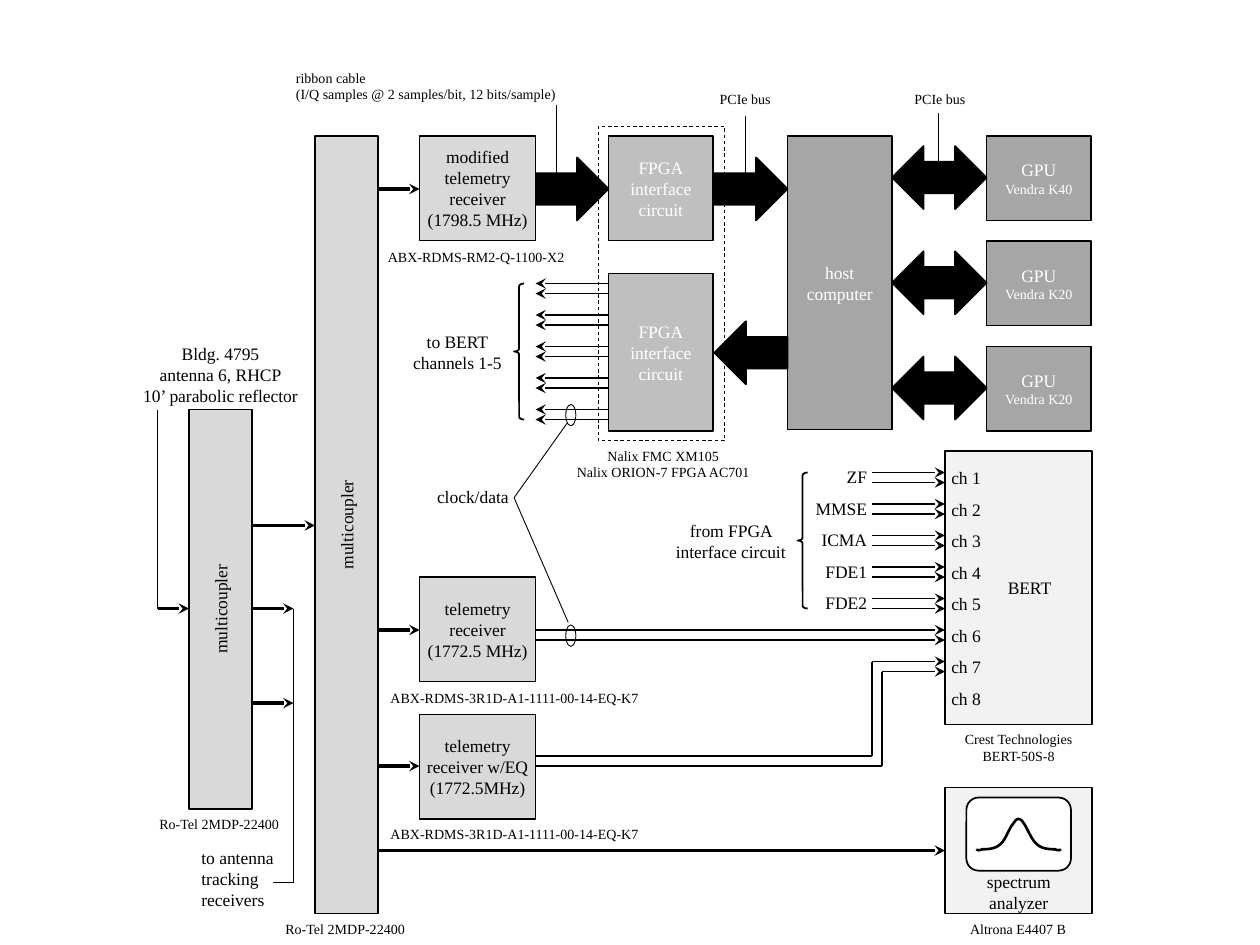
import pptx
import pptx.util
import pptx.dml.color
import pptx.enum.dml
import pptx.enum.shapes
import pptx.enum.text
import pptx.oxml.ns
from lxml import etree

Inches = pptx.util.Inches
SHAPE = pptx.enum.shapes.MSO_SHAPE
ALIGN = pptx.enum.text.PP_ALIGN
ANCHOR = pptx.enum.text.MSO_ANCHOR
qn = pptx.oxml.ns.qn

FONT = "Times New Roman"
COLORS = {
    "ink": "000000", "paper": "FFFFFF", "receiver": "D9D9D9",
    "fpga": "BFBFBF", "computer": "A6A6A6", "instrument": "F2F2F2",
}
MARGINS = (0.1, 0.05, 0.1, 0.05)
TIGHT = (0, 0.05, 0, 0.05)


def rgb(name):
    return pptx.dml.color.RGBColor.from_string(COLORS[name])


def write_text(shape, text, sizes, color="ink", align=ALIGN.CENTER, margins=MARGINS):
    """Fill a shape with paragraphs; the last size serves all remaining ones."""
    frame = shape.text_frame
    frame.text = text
    frame.margin_left, frame.margin_top, frame.margin_right, frame.margin_bottom = map(Inches, margins)
    for index, para in enumerate(frame.paragraphs):
        para.alignment = align
        for span in para.runs:
            span.font.name = FONT
            span.font.size = pptx.util.Pt(sizes[min(index, len(sizes) - 1)])
            span.font.color.rgb = rgb(color)
    return frame


def add_outline(slide, kind, left, top, width, height, fill=None, weight=1):
    shape = slide.shapes.add_shape(kind, Inches(left), Inches(top), Inches(width), Inches(height))
    shape.shadow.inherit = False
    if fill:
        shape.fill.solid()
        shape.fill.fore_color.rgb = rgb(fill)
    else:
        shape.fill.background()
    shape.line.color.rgb = rgb("ink")
    shape.line.width = pptx.util.Pt(weight)
    return shape


def add_block(slide, left, top, width, height, fill, text, color="ink",
              sizes=(10,), margins=MARGINS, anchor=ANCHOR.MIDDLE, upright=False):
    block = add_outline(slide, SHAPE.RECTANGLE, left, top, width, height, fill)
    frame = write_text(block, text, sizes, color, margins=margins)
    frame.word_wrap = True
    frame.vertical_anchor = anchor
    if upright:
        block.element.find(".//" + qn("a:bodyPr")).set("vert", "vert270")


def add_label(slide, left, top, width, height, text, size=10,
              align=ALIGN.CENTER, wrap=True, margins=MARGINS):
    box = slide.shapes.add_textbox(Inches(left), Inches(top), Inches(width), Inches(height))
    frame = write_text(box, text, (size,), align=align, margins=margins)
    frame.word_wrap = wrap


def add_line(slide, x1, y1, x2, y2, weight=0.5, arrow=False):
    line = slide.shapes.add_connector(
        pptx.enum.shapes.MSO_CONNECTOR.STRAIGHT, Inches(x1), Inches(y1), Inches(x2), Inches(y2))
    line.line.color.rgb = rgb("ink")
    line.line.width = pptx.util.Pt(weight)
    properties = line.element.spPr
    if arrow:
        etree.SubElement(properties.find(qn("a:ln")), qn("a:tailEnd"), type="stealth")
    etree.SubElement(properties, qn("a:effectLst"))


def add_brace(slide, left, top):
    brace = add_outline(slide, SHAPE.LEFT_BRACE, left, top, 0.08, 1.08)
    brace.adjustments[0] = 0.28


def add_curve(slide, start, segments, weight, steps=8):
    """Draw cubic segments, each given as two controls and an end point."""
    points, here = [], start
    for first, second, end in segments:
        for step in range(1, steps + 1):
            t = step / steps
            points.append(tuple(
                Inches((1 - t) ** 3 * a + 3 * t * (1 - t) ** 2 * b + 3 * t * t * (1 - t) * c + t ** 3 * d)
                for a, b, c, d in zip(here, first, second, end)))
        here = end
    builder = slide.shapes.build_freeform(Inches(start[0]), Inches(start[1]))
    builder.add_line_segments(points, close=False)
    curve = builder.convert_to_shape()
    curve.shadow.inherit = False
    curve.fill.background()
    curve.line.color.rgb = rgb("ink")
    curve.line.width = pptx.util.Pt(weight)


def draw_processing(slide):
    # FPGA circuits, host computer and GPUs
    for top, height in ((1.08, 0.83), (2.17, 1.25)):
        add_block(slide, 4.83, top, 0.83, height, "fpga", "FPGA\ninterface\ncircuit", "paper")
    add_block(slide, 6.25, 1.08, 0.83, 2.33, "computer", "host\ncomputer", "paper")
    for row, model in enumerate(("K40", "K20", "K20")):
        top = 1.08 + row * 0.835
        add_block(slide, 7.83, top, 0.83, 0.67, "computer", f"GPU\nVendra {model}", "paper", (10, 8))
        add_outline(slide, SHAPE.LEFT_RIGHT_ARROW, 7.08, top + 0.08, 0.75, 0.5, "ink")
    for kind, left, top in ((SHAPE.RIGHT_ARROW, 4.25, 1.25), (SHAPE.RIGHT_ARROW, 5.67, 1.25),
                            (SHAPE.LEFT_ARROW, 5.67, 2.55)):
        add_outline(slide, kind, left, top, 0.58, 0.5, "ink")
    board = add_outline(slide, SHAPE.RECTANGLE, 4.75, 1, 1, 2.5, weight=0.5)
    board.line.dash_style = pptx.enum.dml.MSO_LINE.DASH
    add_label(slide, 4.5, 3.5, 1.53, 0.37, "Nalix FMC XM105\nNalix ORION-7 FPGA AC701", 8, margins=TIGHT)

    # Bus and cable callouts
    add_label(slide, 2.25, 0.5, 2.28, 0.37,
              "ribbon cable\n(I/Q samples @ 2 samples/bit, 12 bits/sample)", 8, ALIGN.LEFT, False)
    for left, width in ((5.58, 0.67), (7.17, 0.58)):
        add_label(slide, left, 0.67, width, 0.24, "PCIe bus", 8, margins=TIGHT)
    for x, bottom, top in ((4.42, 1.42, 0.83), (5.92, 1.42, 0.92), (7.45, 1.28, 0.9)):
        add_line(slide, x, bottom, x, top)


def draw_bert(slide):
    add_block(slide, 7.5, 3.58, 1.17, 2.17, "instrument", "BERT", margins=(0.27, 0.05, 0.1, 0.05))
    add_label(slide, 7.5, 5.75, 1.17, 0.37, "Crest Technologies BERT-50S-8", 8)
    for channel in range(8):
        add_label(slide, 7.5, 3.66 + channel * 0.25, 0.39, 0.27, f"ch {channel + 1}",
                  align=ALIGN.LEFT, wrap=False, margins=(0.05, 0.05, 0.1, 0.05))

    # Clock and data pairs out of the FPGA and into channels 1-5
    for pair, name in enumerate(("ZF", "MMSE", "ICMA", "FDE1", "FDE2")):
        drop = pair * 0.25
        for offset in (drop, drop + 0.08):
            add_line(slide, 4.83, 2.25 + offset, 4.25, 2.25 + offset, 1, True)
            add_line(slide, 6.92, 3.75 + offset, 7.5, 3.75 + offset, 1, True)
        add_label(slide, 6.37, 3.65 + drop, 0.61, 0.27, name, align=ALIGN.RIGHT, wrap=False)
    add_brace(slide, 4.08, 2.25)
    add_brace(slide, 6.33, 3.75)
    add_label(slide, 3.17, 2.58, 0.92, 0.44, "to BERT\nchannels 1-5", wrap=False)
    add_label(slide, 5.25, 4.08, 1.1, 0.44, "from FPGA interface circuit")

    # Receiver pairs into channels 6 and 7
    for y in (5, 5.08):
        add_line(slide, 4.25, y, 7.5, y, 1, True)
    for x, low, high in ((6.92, 6, 5.25), (7, 6.08, 5.33)):
        add_line(slide, 4.25, low, x, low, 1)
        add_line(slide, x, low, x, high, 1)
        add_line(slide, x, high, 7.5, high, 1, True)

    # Clock/data callout
    add_label(slide, 3.37, 3.81, 0.78, 0.27, "clock/data", align=ALIGN.LEFT, wrap=False)
    for top in (3.21, 4.96):
        add_outline(slide, SHAPE.OVAL, 4.49, top, 0.08, 0.17, weight=0.5)
    add_line(slide, 4.08, 3.95, 4.5, 3.36)
    add_line(slide, 4.08, 3.95, 4.51, 4.94)


def draw_receivers(slide):
    for top, text in ((1.08, "modified\ntelemetry receiver\n(1798.5 MHz)"),
                      (4.58, "telemetry receiver\n(1772.5 MHz)"),
                      (5.67, "telemetry receiver w/EQ\n(1772.5MHz)")):
        add_block(slide, 3.33, top, 0.92, 0.83, "receiver", text, margins=TIGHT)
    add_label(slide, 3, 1.92, 1.56, 0.24, "ABX-RDMS-RM2-Q-1100-X2", 8, margins=TIGHT)
    for top in (5.42, 6.5):
        add_label(slide, 3, top, 2.18, 0.24, "ABX-RDMS-3R1D-A1-1111-00-14-EQ-K7", 8, ALIGN.LEFT, False)


def draw_antenna(slide):
    # Multicouplers
    for left, top, height in ((2.5, 1.08, 6.17), (1.5, 3.25, 3.17)):
        add_block(slide, left, top, 0.5, height, "receiver", "multicoupler", upright=True)
    for left, top in ((1.08, 6.42), (2.08, 7.26)):
        add_label(slide, left, top, 1.32, 0.24, "Ro-Tel 2MDP-22400", 8)

    # Signal feeds
    for x1, x2, y in ((3, 3.33, 1.5), (3, 3.33, 5), (3, 3.33, 6.08), (3, 7.5, 6.75),
                      (2, 2.5, 4.17), (2, 2.33, 4.83), (2, 2.33, 5.58), (1.25, 1.5, 4.83)):
        add_line(slide, x1, y, x2, y, 2, True)

    # Antenna input and tracking output
    add_label(slide, 1.02, 2.67, 1.46, 0.61,
              "Bldg. 4795\nantenna 6, RHCP\n10’ parabolic reflector", wrap=False)
    add_label(slide, 1.5, 6.67, 0.99, 0.61, "to antenna tracking receivers", align=ALIGN.LEFT)
    add_line(slide, 1.25, 4.83, 1.25, 3.25)
    add_line(slide, 2.33, 7, 2.33, 4.83)
    add_line(slide, 2.17, 7, 2.33, 7)


def draw_analyzer(slide):
    add_block(slide, 7.5, 6.25, 1.17, 1, "instrument", "spectrum analyzer",
              margins=(0.1, 0.05, 0.1, 0), anchor=ANCHOR.BOTTOM)
    add_outline(slide, SHAPE.ROUNDED_RECTANGLE, 7.67, 6.33, 0.83, 0.58, "paper")
    add_curve(slide, (7.75, 6.74), (
        ((7.76, 6.75), (7.77, 6.75), (7.8, 6.74)),
        ((7.83, 6.74), (7.9, 6.74), (7.94, 6.7)),
        ((7.98, 6.67), (8.01, 6.57), (8.04, 6.54)),
        ((8.06, 6.51), (8.07, 6.5), (8.08, 6.5)),
        ((8.1, 6.5), (8.11, 6.51), (8.13, 6.54)),
        ((8.15, 6.57), (8.19, 6.67), (8.23, 6.7)),
        ((8.27, 6.74), (8.34, 6.74), (8.37, 6.74)),
        ((8.4, 6.75), (8.41, 6.75), (8.42, 6.74))), 1.5)
    add_label(slide, 7.42, 7.26, 1.32, 0.24, "Altrona E4407 B", 8)


def main():
    deck = pptx.Presentation()
    deck.slide_width, deck.slide_height = Inches(10), Inches(7.5)
    slide = deck.slides.add_slide(deck.slide_layouts[6])
    draw_processing(slide)
    draw_bert(slide)
    draw_receivers(slide)
    draw_antenna(slide)
    draw_analyzer(slide)
    deck.save("out.pptx")


if __name__ == "__main__":
    main()
